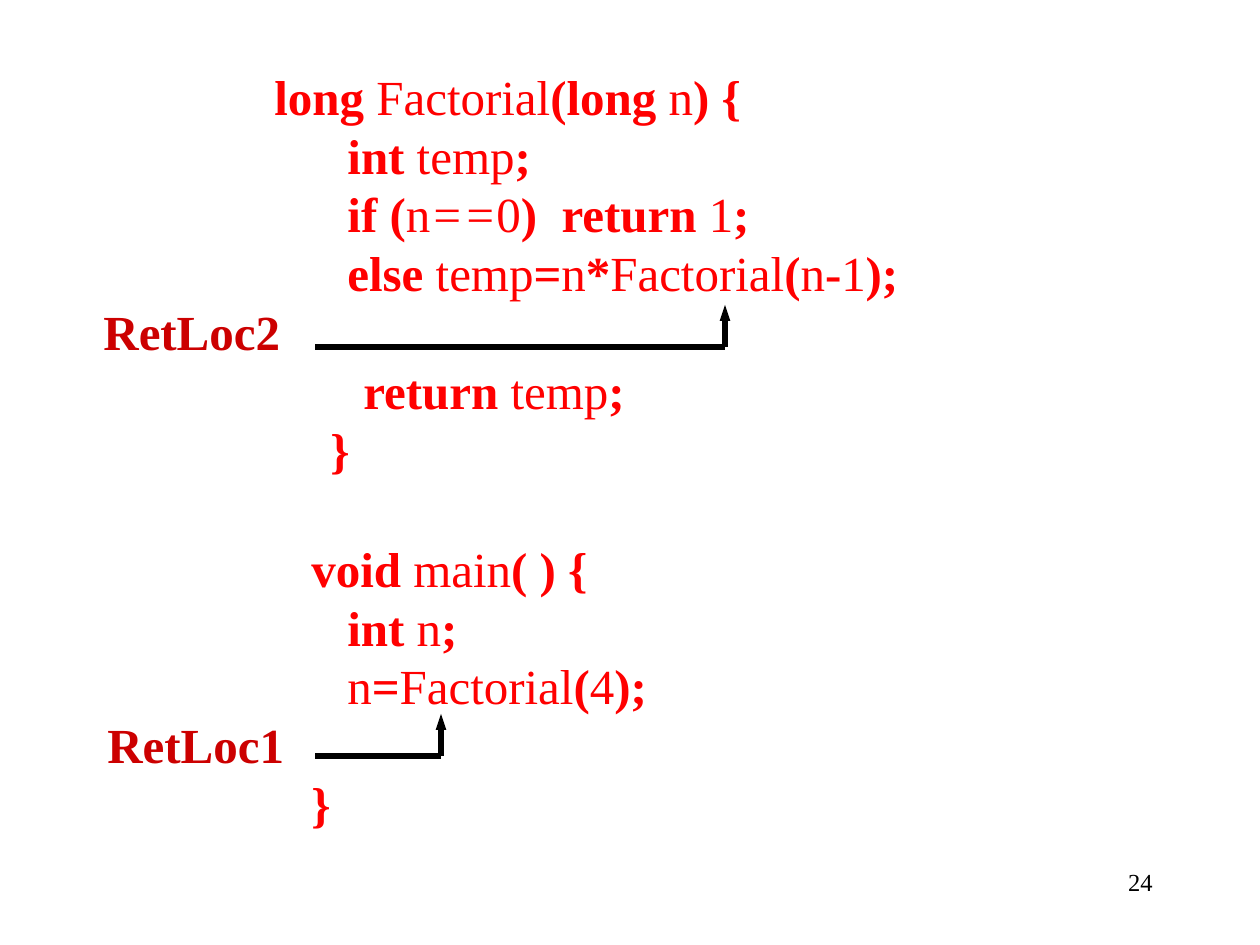
"""Build a slide of recursive factorial code with its two return locations marked."""
from lxml.etree import SubElement
from pptx import Presentation
from pptx.dml.color import RGBColor
from pptx.enum.shapes import MSO_CONNECTOR as Connector
from pptx.enum.text import PP_ALIGN as Align
from pptx.oxml.ns import qn
from pptx.util import Pt

PX = 914400 / 126
FONT = "Times New Roman"
RED = RGBColor(0xFF, 0x00, 0x00)
DARK_RED = RGBColor(0xCC, 0x00, 0x00)
BLACK = RGBColor(0x00, 0x00, 0x00)


def add_box(page, left, top, width, height):
    box = page.shapes.add_textbox(*(round(n * PX) for n in (left, top, width, height)))
    box.text_frame.word_wrap = True
    return box.text_frame


def add_span(para, text, size, color, bold=False):
    span = para.add_run()
    span.text = text
    span.font.name = FONT
    span.font.size = Pt(size)
    span.font.color.rgb = color
    span.font.bold = bold
    span.font.italic = text == "=="


deck = Presentation()
deck.slide_width, deck.slide_height = round(1260 * PX), round(945 * PX)
page = deck.slides.add_slide(deck.slide_layouts[6])

FACTORIAL_LINES = [
    (220, RED, ["long ", "Factorial", "(long", " n", ") {"]),
    (293, RED, ["int", " temp", ";"]),
    (293, RED, ["if (", "n", "", "==", "", "0", ")  return ", "1", ";"]),
    (293, RED, ["else ", "temp", "=", "n", "*", "Factorial", "(", "n", "-", "1", ");"]),
    (49, DARK_RED, ["RetLoc2"]),
    (309, RED, ["return", " temp", ";"]),
    (276, RED, ["}"]),
]
MAIN_LINES = [
    (265, RED, ["void ", "main", "( ) {"]),
    (301, RED, ["int ", "n", ";"]),
    (301, RED, ["", "n", "=", "Factorial", "(", "4", ");"]),
    (61, DARK_RED, ["RetLoc1"]),
    (265, RED, ["}"]),
]
CODE_BLOCKS = [
    ((42, 60, 1113, 425), FACTORIAL_LINES),
    ((34, 532, 1013, 307), MAIN_LINES),
]
for bounds, lines in CODE_BLOCKS:
    frame = add_box(page, *bounds)
    for row, (indent, color, parts) in enumerate(lines):
        para = frame.add_paragraph() if row else frame.paragraphs[0]
        properties = para._p.get_or_add_pPr()
        properties.set("marL", str(round(indent * PX)))
        properties.set("indent", "0")
        for position, text in enumerate(parts):
            if text:
                add_span(para, text, 28, color, bold=position % 2 == 0)

RETURN_LINES = [
    (725, 347, 725, 305, True),
    (725, 347, 315, 347, False),
    (441, 756, 441, 714, True),
    (315, 756, 441, 756, False),
]
for *ends, has_arrow in RETURN_LINES:
    line = page.shapes.add_connector(Connector.STRAIGHT, *(round(n * PX) for n in ends))
    line.line.color.rgb = BLACK
    line.line.width = Pt(3)
    if has_arrow:
        SubElement(line.line._get_or_add_ln(), qn("a:tailEnd"), type="triangle", w="sm", len="med")
    SubElement(line._element.spPr, qn("a:effectLst"))

number = add_box(page, 903, 861, 262, 63).paragraphs[0]
number.alignment = Align.RIGHT
add_span(number, "24", 14, BLACK)

deck.save("out.pptx")
